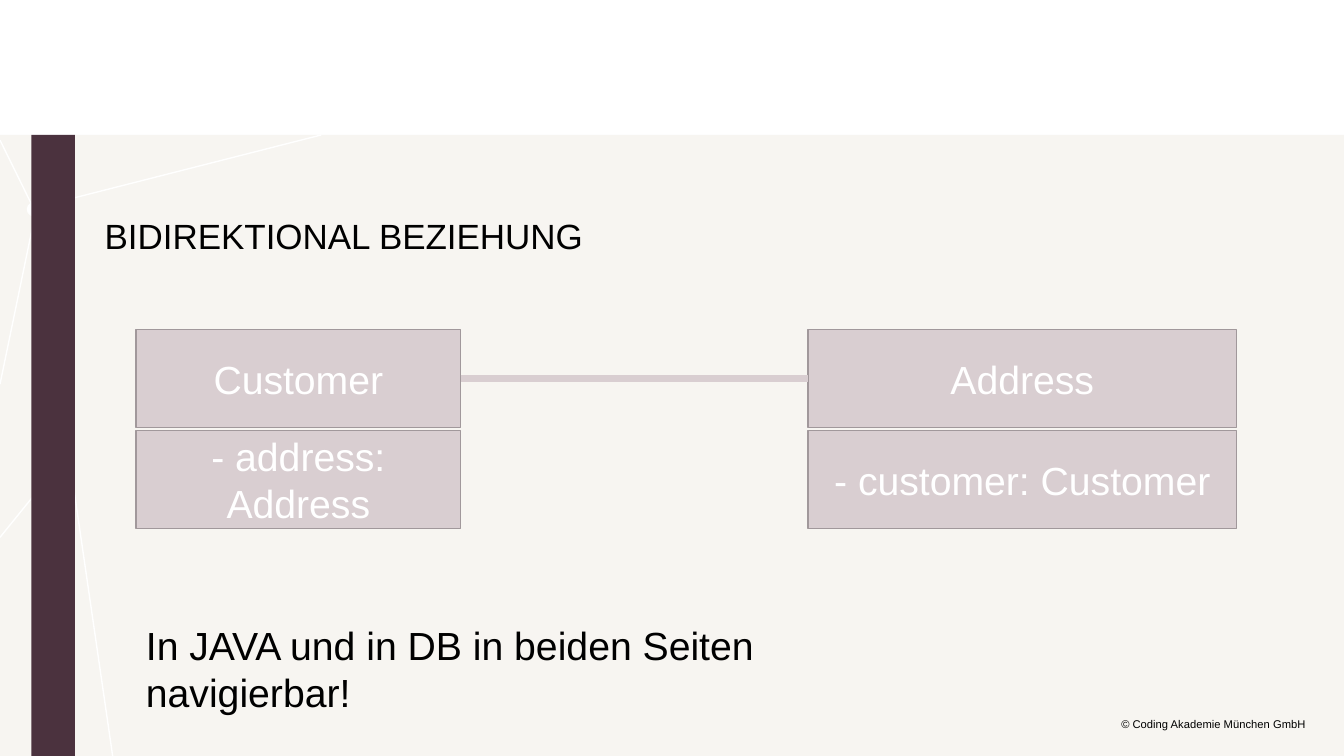
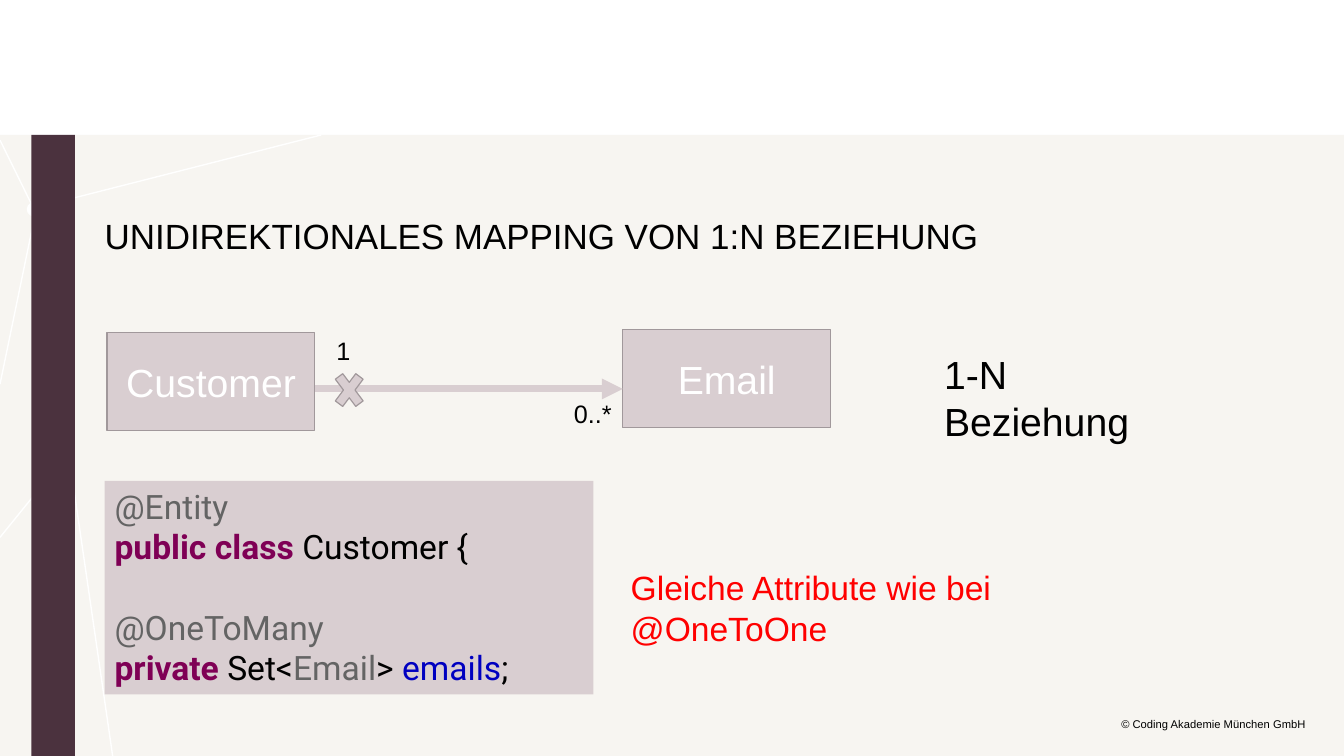
from lxml.etree import SubElement
from pptx import Presentation
from pptx.dml.color import RGBColor
from pptx.enum.shapes import MSO_CONNECTOR, MSO_SHAPE
from pptx.enum.text import MSO_ANCHOR as Anchor, PP_ALIGN as Align
from pptx.oxml.ns import qn
from pptx.util import Cm, Pt

WHITE = RGBColor(0xFF, 0xFF, 0xFF)
BLACK = RGBColor(0, 0, 0)
RED = RGBColor(0xFF, 0, 0)
CREAM = RGBColor(0xF7, 0xF5, 0xF1)
PLUM = RGBColor(0x4B, 0x32, 0x3E)
MAUVE = RGBColor(0xD9, 0xCE, 0xD1)
EDGE = RGBColor(0xA1, 0x98, 0x9B)
GREY = RGBColor(0x64, 0x64, 0x64)
PURPLE = RGBColor(0x7F, 0, 0x55)
BLUE = RGBColor(0, 0, 0xC0)

WIDE, HIGH, TOP = 33.88, 19.05, 3.4
RECT = MSO_SHAPE.RECTANGLE


def put(slide, at, text="", size=28, color=BLACK, kind=None, fill=MAUVE, edge=None):
    """Add a text box, or a filled shape with centred text when kind is given."""
    at = [Cm(v) for v in at]
    if kind is None:
        shape = slide.shapes.add_textbox(*at)
    else:
        shape = slide.shapes.add_shape(kind, *at)
        shape.shadow.inherit = False
        shape.fill.solid()
        shape.fill.fore_color.rgb = fill
        if edge is None:
            shape.line.fill.background()
        else:
            shape.line.color.rgb = edge
            shape.line.width = Pt(0.85)
    frame = shape.text_frame
    frame.word_wrap = True
    if text:
        frame.text = text
        para = frame.paragraphs[0]
        para.alignment = Align.CENTER if kind else Align.LEFT
        font = para.runs[0].font
        font.name, font.size, font.color.rgb = "Arial", Pt(size), color
    return shape


def link(slide, ends, color, width):
    line = slide.shapes.add_connector(MSO_CONNECTOR.STRAIGHT, *[Cm(v) for v in ends])
    line.line.color.rgb = color
    line.line.width = Pt(width)
    SubElement(line._element.spPr, qn("a:effectLst"))
    return line


deck = Presentation()
deck.slide_width, deck.slide_height = Cm(WIDE), Cm(HIGH)

# Shared frame: background, rays, bar, footer and title
rays = [
    (0.84, 5.28, 2.84, HIGH),
    (0.86, 5.28, 0, 3.53),
    (0.91, 5.23, 8.1, TOP),
    (1.83, 11.28, 0, 13.54),
    (0.91, 5.28, 0, 9.68),
]
titles = ["BIDIREKTIONAL BEZIEHUNG", "UNIDIREKTIONALES MAPPING VON 1:N BEZIEHUNG"]
for title in titles:
    slide = deck.slides.add_slide(deck.slide_layouts[6])
    put(slide, (0, TOP, WIDE, HIGH - TOP), kind=RECT, fill=CREAM)
    put(slide, (0.69, 5.11, 0.33, 0.33), kind=MSO_SHAPE.OVAL, fill=WHITE, edge=WHITE)
    for ray in rays:
        link(slide, ray, WHITE, 1)
    foot = put(slide, (22.94, 18.11, 9.98, 0.33), "© Coding Akademie München GmbH", 8)
    foot.text_frame.vertical_anchor = Anchor.MIDDLE
    foot.text_frame.paragraphs[0].alignment = Align.RIGHT
    foot.text_frame.paragraphs[0].line_spacing = 0.93
    put(slide, (0.79, TOP, 1.1, HIGH - TOP), kind=RECT, fill=PLUM)
    head = put(slide, (2.64, 5.41, 24.66, 1.07), title, 25)
    for box in (foot, head):
        frame = box.text_frame
        frame.margin_left = frame.margin_right = 0
        frame.margin_top = frame.margin_bottom = 0

both, single = deck.slides

# Slide 1: two classes that know each other
tall = 2.46
classes = [
    (3.43, 8.18, "Customer", "- address: Address"),
    (20.37, 10.8, "Address", "- customer: Customer"),
]
heads = []
for x, w, name, field in classes:
    heads.append(put(both, (x, 8.31, w, tall), name, 28, WHITE, RECT, edge=EDGE))
    put(both, (x, 10.85, w, tall), field, 28, WHITE, RECT, edge=EDGE)
put(both, (3.43, 15.52, 19.46, 1.45), "In JAVA und in DB in beiden Seiten navigierbar!")
bond = link(both, (11.61, 9.54, 20.37, 9.54), MAUVE, 5)
bond.begin_connect(heads[0], 3)
bond.end_connect(heads[1], 1)

# Slide 2: one customer, many emails
for x, y, name in [(2.7, 8.38, "Customer"), (15.7, 8.31, "Email")]:
    put(single, (x, y, 5.24, tall), name, 28, WHITE, RECT, edge=EDGE)
notes = [
    ((8.23, 8.33, 0.84, 1.02), "1", 18, BLACK),
    ((14.22, 9.91, 1.6, 1.02), "0..*", 18, BLACK),
    ((23.55, 8.71, 6.38, 1.45), "1-N Beziehung", 28, BLACK),
    ((15.65, 14.17, 13.74, 1.27), "Gleiche Attribute wie bei @OneToOne", 24, RED),
]
for at, text, size, color in notes:
    put(single, at, text, size, color)

code = [
    [("@Entity", GREY)],
    [("public class", PURPLE), (" Customer {", BLACK)],
    [],
    [("@OneToMany", GREY)],
    [("private", PURPLE), (" Set<", BLACK), ("Email", GREY), ("> ", BLACK),
     ("emails", BLUE), (";", BLACK)],
]
frame = put(single, (2.64, 12.12, 12.32, 5.38), kind=RECT).text_frame
frame.vertical_anchor = Anchor.TOP
for i, parts in enumerate(code):
    para = frame.add_paragraph() if i else frame.paragraphs[0]
    para.alignment = Align.LEFT
    para.font.name, para.font.size = "Roboto", Pt(24)
    for text, color in parts:
        run = para.add_run()
        run.text = text
        font = run.font
        font.name, font.size = "Roboto", Pt(24)
        font.color.rgb, font.bold = color, color == PURPLE

arrow = link(single, (7.95, 9.8, 15.7, 9.8), MAUVE, 5)
SubElement(arrow._element.spPr.find(qn("a:ln")), qn("a:tailEnd"), type="triangle")
put(single, (8.31, 9.17, 0.99, 1.32), kind=MSO_SHAPE.MATH_MULTIPLY, edge=EDGE)

deck.save("out.pptx")
